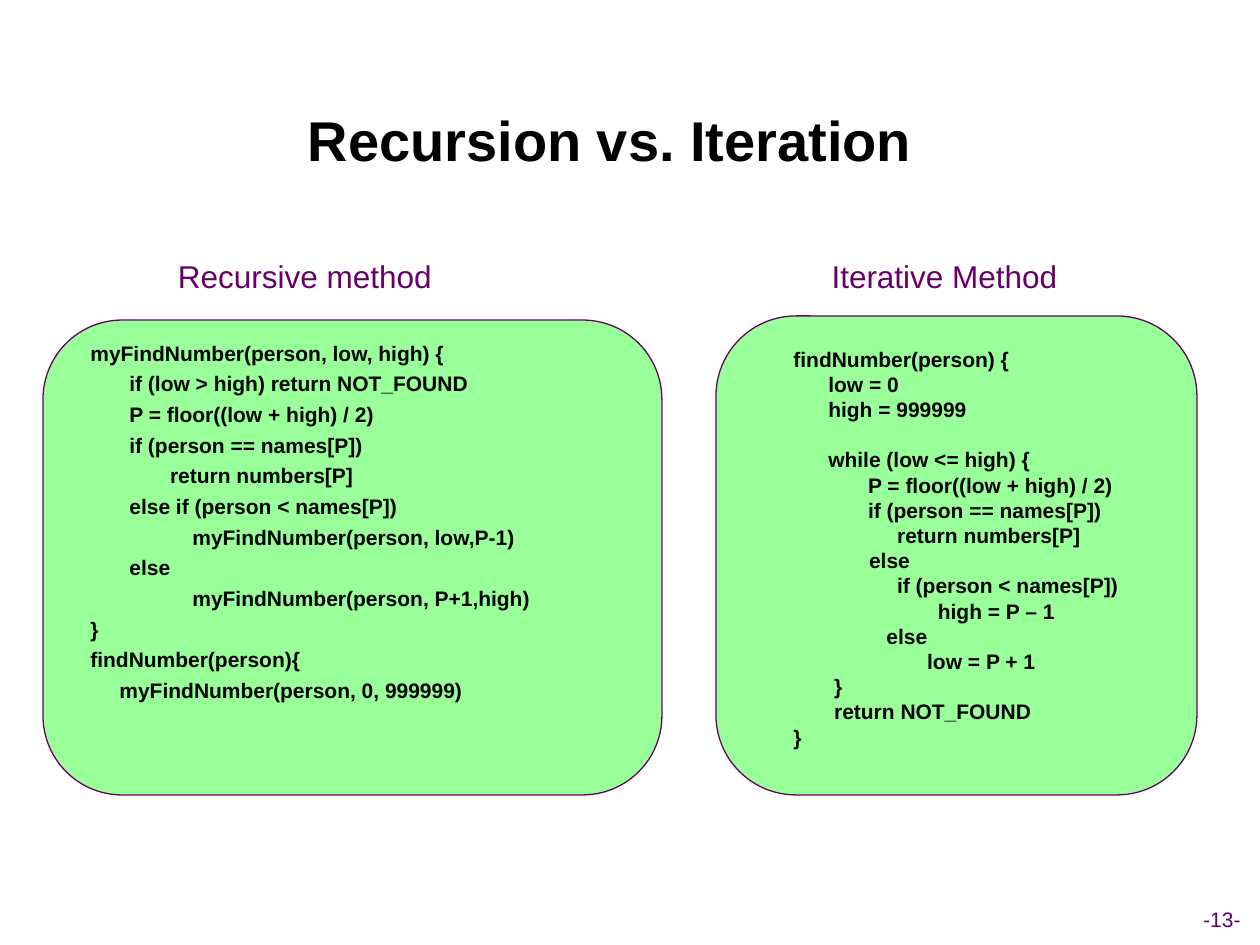
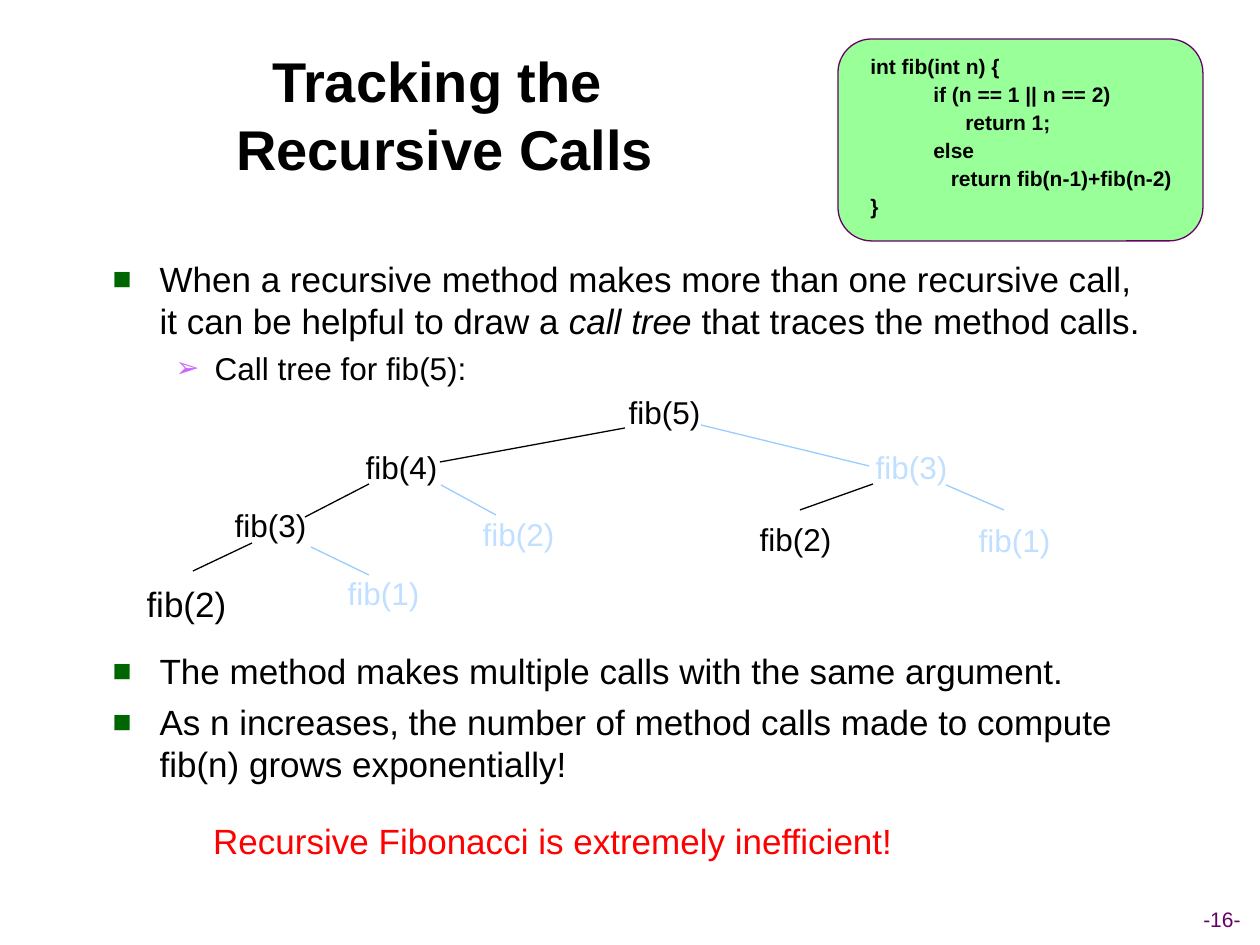
from copy import deepcopy

from lxml.etree import SubElement
from pptx import Presentation
from pptx.dml.color import RGBColor
from pptx.enum.shapes import MSO_CONNECTOR, MSO_SHAPE
from pptx.enum.text import MSO_ANCHOR, MSO_AUTO_SIZE, PP_ALIGN
from pptx.oxml.ns import qn
from pptx.util import Emu, Pt

SCALE = 914400 / 126
FONT = "Arial"
INK, PLUM, MINT = "000000", "660066", "99FF99"
SKY, PALE, RED = "99CCFF", "C1E0FF", "FF0000"
SQUARE = ("■", "006600")
ARROW = ("➢", "CC66FF")
CODE = dict(size=12, bold=True, tabs=True)


def px(n):
    return Emu(round(n * SCALE))


def color(text):
    return RGBColor.from_string(text)


def mark(props, bullet):
    """Give a paragraph its bullet, or none."""
    if not bullet:
        SubElement(props, qn("a:buNone"))
        return
    sign, tint = bullet
    fill = SubElement(props, qn("a:buClr"))
    SubElement(fill, qn("a:srgbClr"), val=tint)
    SubElement(props, qn("a:buSzPct"), val="90000")
    SubElement(props, qn("a:buFont"), typeface=FONT)
    SubElement(props, qn("a:buChar"), char=sign)


def fill_para(para, text, size=18, ink=INK, bold=False, align=PP_ALIGN.LEFT,
              left=0, first=0, before=0, pitch=1.0, level=0, bullet=None,
              tabs=False):
    """Write one paragraph: *...* is italic, a newline breaks the line."""
    para.level = level
    props = para._p.get_or_add_pPr()
    props.set("marL", str(px(left)))
    props.set("indent", str(px(first)))
    mark(props, bullet)
    if tabs:
        stops = SubElement(props, qn("a:tabLst"))
        for inch in range(8):
            SubElement(stops, qn("a:tab"), pos=str(px(126 * inch)), algn="l")
    para.alignment = align
    para.space_before = Pt(before)
    para.line_spacing = pitch
    for k, part in enumerate(text.split("*")):
        for n, row in enumerate(part.split("\n")):
            if n:
                para.add_line_break()
                para._p[-1].append(deepcopy(run._r.rPr))
            run = para.add_run()
            run.text = row
            font = run.font
            font.name, font.size, font.bold = FONT, Pt(size), bold
            font.italic = k % 2 == 1
            font.color.rgb = color(ink)


def write(frame, lines, wrap=True, anchor=MSO_ANCHOR.TOP, before=0, **style):
    """Fill a frame; a line is text, or text with its own format."""
    frame.auto_size = MSO_AUTO_SIZE.NONE
    frame.word_wrap = wrap
    frame.vertical_anchor = anchor
    for n, line in enumerate([lines] if isinstance(lines, str) else lines):
        text, own = (line, {}) if isinstance(line, str) else line
        para = frame.add_paragraph() if n else frame.paragraphs[0]
        gap = before if n else 0
        fill_para(para, text, **{**style, "before": gap, **own})


def label(slide, box, lines, **style):
    shape = slide.shapes.add_textbox(*map(px, box))
    write(shape.text_frame, lines, **style)


def center(slide, box, text, **style):
    label(slide, box, text, wrap=False, anchor=MSO_ANCHOR.MIDDLE,
          align=PP_ALIGN.CENTER, **style)


def place(holder, box):
    holder.left, holder.top, holder.width, holder.height = map(px, box)
    return holder.text_frame


def start(deck, layout, title, box, page):
    """Add a slide with its title and page number."""
    slide = deck.slides.add_slide(deck.slide_layouts[layout])
    write(place(slide.shapes.title, box), title, size=32, bold=True,
          align=PP_ALIGN.CENTER, anchor=MSO_ANCHOR.MIDDLE)
    center(slide, (1184, 900, 76, 38), f"-{page}-", size=12, ink=PLUM)
    return slide


def panel(slide, box, shift, area, lines, **style):
    """Draw a green code panel; shift and area place its text."""
    shape = slide.shapes.add_shape(MSO_SHAPE.ROUNDED_RECTANGLE, *map(px, box))
    shape.adjustments[0] = 0.167
    shape.shadow.inherit = False
    shape.fill.solid()
    shape.fill.fore_color.rgb = color(MINT)
    shape.line.color.rgb = color(PLUM)
    shape.line.width = Pt(0.75)
    spot = (box[0] + shift[0], box[1] + shift[1], *area)
    label(slide, spot, lines, **CODE, **style)


def edge(slide, ends, ink):
    line = slide.shapes.add_connector(MSO_CONNECTOR.STRAIGHT, *map(px, ends))
    line.line.color.rgb = color(ink)
    line.line.width = Pt(0.75)
    SubElement(line._element.spPr, qn("a:effectLst"))


def tree(slide, x, y):
    """Draw the call tree; left calls are black, right calls pale."""
    pairs = [
        ((491, 41, 306, 75), (567, 38, 735, 79)),
        ((235, 97, 171, 130), (307, 98, 362, 128)),
        ((118, 156, 59, 184), (177, 160, 235, 188)),
        ((739, 97, 666, 123), (812, 98, 870, 123)),
    ]
    for pair in pairs:
        for (x1, y1, x2, y2), ink in zip(pair, (INK, SKY)):
            edge(slide, (x + x1, y + y1, x + x2, y + y2), ink)
    nodes = [
        (5, 482, 0, INK), (4, 219, 55, INK), (3, 729, 55, PALE),
        (3, 88, 113, INK), (2, 336, 122, PALE), (2, 613, 127, INK),
        (1, 201, 181, PALE), (1, 832, 128, PALE),
    ]
    for n, dx, dy, ink in nodes:
        center(slide, (x + dx, y + dy, 97, 50), f"fib({n})", ink=ink)
    center(slide, (x, y + 189, 105, 55), "fib(2)", size=20)


def versus(deck):
    slide = start(deck, 5, "Recursion vs. Iteration", (26, 79, 1168, 120), 13)
    # Column heads
    center(slide, (166, 251, 278, 50), "Recursive method", ink=PLUM)
    center(slide, (819, 251, 251, 50), "Iterative Method", ink=PLUM)
    # Recursive code
    panel(slide, (43, 320, 619, 475), (-28, 19), (737, 449), [
        "myFindNumber(person, low, high) {",
        "\tif (low > high) return NOT_FOUND",
        "\tP = floor((low + high) / 2)",
        "\tif (person == names[P])",
        "\t       return numbers[P]",
        "\telse if (person < names[P])",
        "\t\tmyFindNumber(person, low,P-1)",
        "\telse",
        "\t\tmyFindNumber(person, P+1,high)",
        "}",
        "findNumber(person){",
        "     myFindNumber(person, 0, 999999)",
    ], left=102, first=-39, pitch=0.8, before=6)
    # Iterative code
    panel(slide, (716, 316, 481, 479), (2, 24), (522, 416), [
        "findNumber(person) {",
        "      low = 0",
        "      high = 999999",
        ("      while (low <= high) {", dict(before=14.4)),
        "\t  P = floor((low + high) / 2)",
        "\t  if (person == names[P])",
        "\t       return numbers[P]",
        "             else",
        "\t       if (person < names[P])",
        "\t              high = P – 1",
        "                else",
        "                       low = P + 1",
        "       }",
        "       return NOT_FOUND",
        "}",
    ], left=63)


def calls(deck):
    slide = start(deck, 1, "Tracking the \nRecursive Calls",
                  (96, 54, 698, 120), 16)
    # Points, with room for the tree
    body = place(slide.placeholders[1], (100, 251, 1056, 611))
    write(body, [
        "When a recursive method makes more than one recursive call, "
        "it can be helpful to draw a *call tree *that traces the method calls.",
        ("Call tree for fib(5):", dict(size=18, level=1, left=102, first=-39,
                                       bullet=ARROW, before=4.5)),
        ("The method makes multiple calls with the same argument.",
         dict(before=150)),
        "As n increases, the number of method calls made to compute "
        "fib(n) grows exponentially!",
    ], size=20, left=47, first=-47, bullet=SQUARE, before=5)
    tree(slide, 134, 387)
    center(slide, (200, 820, 706, 46),
           "Recursive Fibonacci is extremely inefficient!",
           size=20, ink=RED, pitch=0.9)
    # Fibonacci code
    deep = dict(level=2, left=158, first=-32)
    panel(slide, (838, 39, 365, 202), (-43, 11), (465, 294), [
        "int fib(int n) {",
        ("if (n == 1 || n == 2)", deep),
        ("\treturn 1;", deep),
        ("else", deep),
        ("   return fib(n-1)+fib(n-2)", deep),
        "}",
    ], left=102, first=-39, pitch=0.9, before=3)


def main():
    deck = Presentation()
    deck.slide_width, deck.slide_height = px(1260), px(945)
    versus(deck)
    calls(deck)
    deck.save("out.pptx")


if __name__ == "__main__":
    main()
